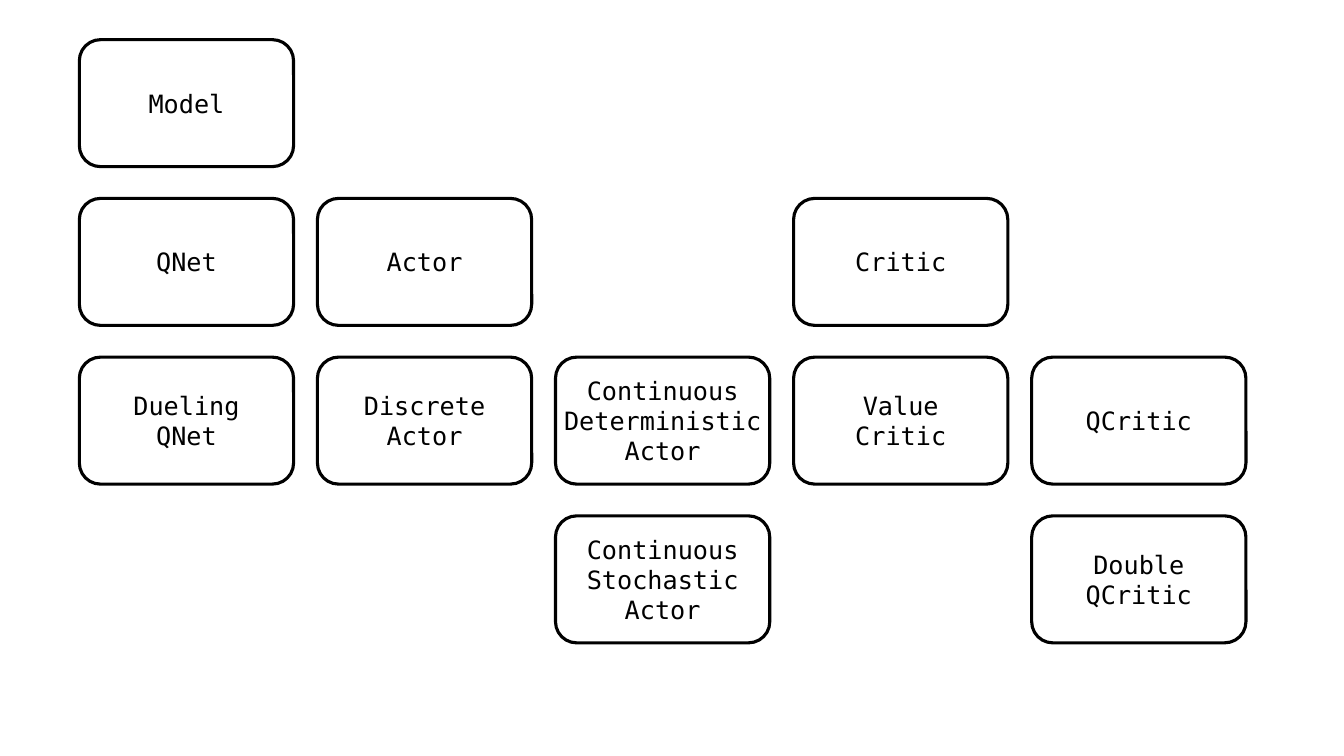
"""Draw the model classes as a grid of rounded boxes."""
from dataclasses import dataclass

from pptx import Presentation
from pptx.dml.color import RGBColor
from pptx.enum.shapes import MSO_SHAPE as Shape
from pptx.enum.text import MSO_ANCHOR as Anchor, PP_ALIGN as Align
from pptx.slide import Slide
from pptx.util import Cm, Pt

LEFT, TOP = 2, 1
STEP_X, STEP_Y = 6, 4
WIDTH, HEIGHT = 5.4, 3.2
FONT = "DejaVu Sans Mono"
INK = "000000"


@dataclass(frozen=True)
class Box:
    col: int
    row: int
    text: str


BOXES = [
    Box(0, 0, "Model"),
    Box(0, 1, "QNet"),
    Box(1, 1, "Actor"),
    Box(3, 1, "Critic"),
    Box(0, 2, "Dueling\nQNet"),
    Box(1, 2, "Discrete\nActor"),
    Box(2, 2, "Continuous\nDeterministic\nActor"),
    Box(2, 3, "Continuous\nStochastic\nActor"),
    Box(3, 2, "Value\nCritic"),
    Box(4, 2, "QCritic"),
    Box(4, 3, "Double\nQCritic"),
]


def paint(color, code: str) -> None:
    color.rgb = RGBColor.from_string(code)


def draw(slide: Slide, box: Box) -> None:
    shape = slide.shapes.add_shape(
        Shape.ROUNDED_RECTANGLE,
        Cm(LEFT + box.col * STEP_X),
        Cm(TOP + box.row * STEP_Y),
        Cm(WIDTH),
        Cm(HEIGHT),
    )
    shape.shadow.inherit = False
    shape.fill.background()
    shape.line.width = Pt(2.25)
    paint(shape.line.color, INK)

    frame = shape.text_frame
    frame.margin_left = frame.margin_right = Cm(0)
    frame.margin_top = frame.margin_bottom = Cm(0)
    frame.vertical_anchor = Anchor.MIDDLE
    frame.word_wrap = True
    frame.text = box.text
    for para in frame.paragraphs:
        para.alignment = Align.CENTER
        para.font.name = FONT
        para.font.size = Pt(18)
        paint(para.font.color, INK)


def main() -> None:
    deck = Presentation()
    deck.slide_width, deck.slide_height = Cm(33.87), Cm(19.05)
    slide = deck.slides.add_slide(deck.slide_layouts.get_by_name("Blank"))
    for box in BOXES:
        draw(slide, box)
    deck.save("out.pptx")


if __name__ == "__main__":
    main()
